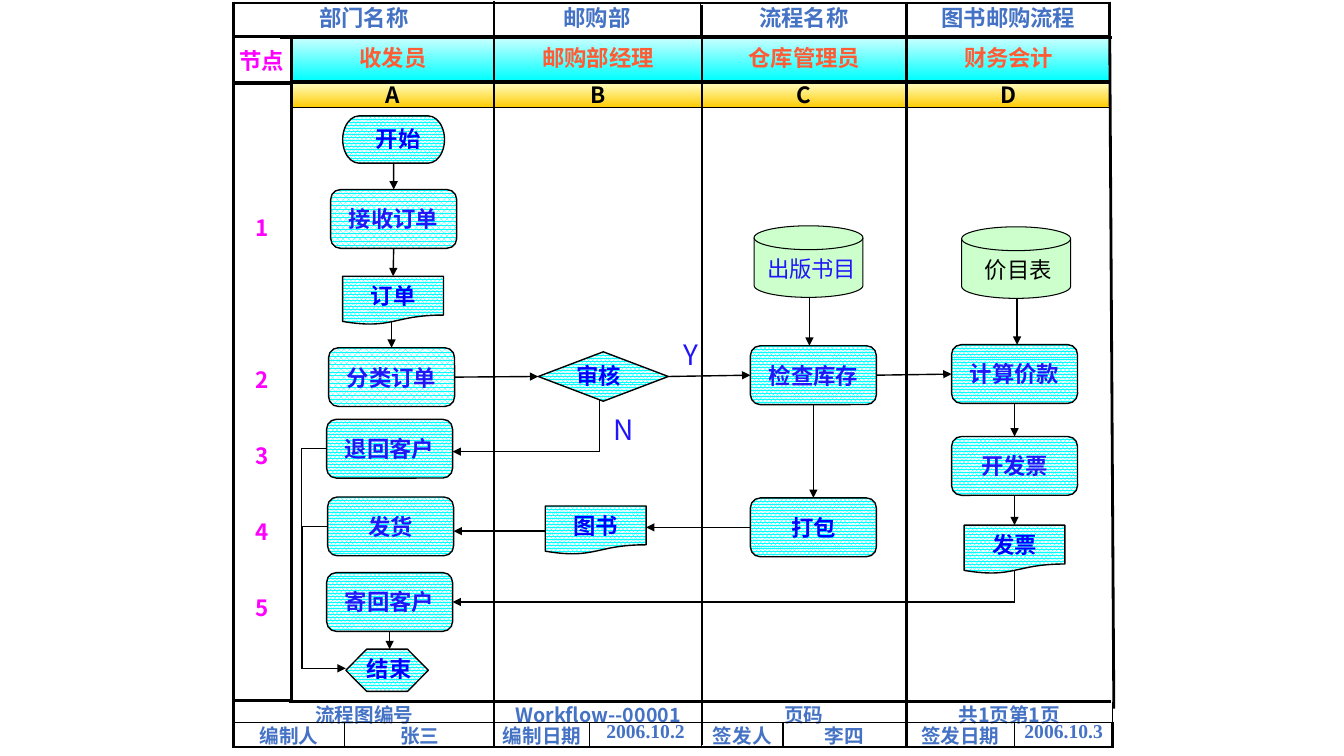
"""Build the swimlane flowchart slide for the book mail-order process."""
import dataclasses
import itertools
import typing
import lxml.etree
import pptx
import pptx.dml.color
import pptx.enum.dml
import pptx.enum.shapes
import pptx.enum.text
import pptx.oxml.ns
import pptx.util

Pt = pptx.util.Pt
Shapes = pptx.enum.shapes.MSO_SHAPE
Anchor = pptx.enum.text.MSO_ANCHOR
Align = pptx.enum.text.PP_ALIGN
Patterns = pptx.enum.dml.MSO_PATTERN_TYPE
qn = pptx.oxml.ns.qn
Point = tuple[float, float]
End = tuple[typing.Any, float]
Box = tuple[float, float, float, float]
CJK, SERIF = "Noto Sans CJK SC", "Times New Roman"
BLACK, BLUE, VIOLET, STEEL = "000000", "0000FF", "2116F8", "4472C4"
MAGENTA, ORANGE, CYAN, WHITE, GREEN = "FF00FF", "FF5B35", "00FFFF", "FFFFFF", "CCFFCC"
PLAIN_TABLE = "{2D5ABB26-0587-4C30-8999-92F81FD0307C}"
NO_MARGINS = {f"margin_{side}": 0 for side in ("left", "top", "right", "bottom")}
LANE_EDGES = [208.5, 353, 501.5, 647.5, 793.5]

@dataclasses.dataclass(frozen=True)
class Style:
    color: str
    size: float = 16
    bold: bool = True
    font: str = CJK
    align: typing.Any = Align.CENTER
    anchor: typing.Any = Anchor.MIDDLE

@dataclasses.dataclass(frozen=True)
class Node:
    name: str
    left: float
    top: float
    color: str = VIOLET
    kind: typing.Any = Shapes.ROUNDED_RECTANGLE
    width: float = 90
    height: float = 42
    pattern: typing.Any = Patterns.PERCENT_80
    label: Point | None = None

@dataclasses.dataclass(frozen=True)
class Flow:
    start: End
    end: End
    arrow: bool = True
    width: float = 1

@dataclasses.dataclass(frozen=True)
class Grid:
    box: Box
    columns: list[float]
    heights: list[float]
    rows: list[list[str]]
    style: Style
    outer: dict[str, float]

NODES = [
    Node("审核", 384.5, 251.3, BLUE, Shapes.FLOWCHART_DECISION, 92.9, 35.3, label=(397.4, 254.9)),
    Node("开始", 244.8, 82.8, BLUE, Shapes.FLOWCHART_TERMINATOR, 72.7, 33.8, label=(254.2, 85.7)),
    Node("结束", 247, 463.7, BLUE, Shapes.HEXAGON, 59, 30.2, label=(247.7, 464.4)),
    Node("接收订单", 236.2, 135.4, pattern=Patterns.PERCENT_75),
    Node("分类订单", 234.7, 248.4, pattern=Patterns.PERCENT_75),
    Node("退回客户", 233.3, 299.5), Node("发货", 234, 355), Node("寄回客户", 233.3, 409),
    Node("检查库存", 536, 247), Node("打包", 536, 355.7, BLUE),
    Node("计算价款", 679.7, 246.2), Node("开发票", 679.7, 311.8),
    *(Node(name, left, top, BLUE, Shapes.FLOWCHART_DOCUMENT, 72, 34.6) for name, left, top in (
        ("订单", 244.8, 197.3), ("图书", 389.5, 361.4), ("发票", 688.7, 375.1))),
]
FLOWS = [
    Flow(("开始", 2), ("接收订单", 0)), Flow(("接收订单", 2), ("订单", 0)),
    Flow((279.7, 230), ("分类订单", 0)), Flow(("分类订单", 3), ("审核", 1)),
    Flow(("审核", 3), ("检查库存", 1)), Flow(("检查库存", 3), ("计算价款", 1)),
    Flow(("计算价款", 2), ("开发票", 0)), Flow(("开发票", 2), ("发票", 0)),
    Flow(("检查库存", 2), ("打包", 0)), Flow(("打包", 1), (461.5, 376.7)),
    Flow((578.2, 212.4), (578.2, 247)), Flow((726.5, 212.4), (726.5, 246.2)),
    Flow((389.5, 379.4), (324, 379.4)), Flow(("寄回客户", 2), (278.3, 463.7)),
    Flow((428.4, 285.1), (428.4, 322.6), arrow=False), Flow((428.4, 322.6), (323.3, 322.6)),
    Flow((724.7, 407), (724.7, 430), arrow=False), Flow((724.7, 430), ("寄回客户", 3)),
    Flow(("退回客户", 1), (215.3, 320.5), arrow=False), Flow(("发货", 1), (216, 376), arrow=False),
    Flow((215.3, 320.5), (215.3, 477.7), arrow=False), Flow((216, 376), (216, 477.4), arrow=False),
    Flow((215.3, 477.4), (247, 477.4), width=0.75),
]
GRID_LINES = [
    ((501.5, 3.6), (501.5, 532)), ((206.6, 501.1), (793.5, 501.1)), ((200.2, 26.6), (794.2, 26.6)),
    ((166.3, 59), (793.5, 59)), ((208.1, 25.2), (208.1, 499.7)), ((352.8, 0.7), (352.8, 532.8)),
    ((647.5, 2.9), (647.5, 534.2)), ((792.7, 26.6), (795.6, 506.2)),
]
TITLE_GRID = Grid((167, 2.2, 625.7, 31.7), [185.8, 147.6, 147.6, 144.7], [31.7],
                  [["部门名称", "邮购部", "流程名称", "图书邮购流程"]],
                  Style(STEEL, anchor=Anchor.TOP), {"L": 2.25, "R": 2.25, "T": 2.25, "B": 0})
FOOTER_GRID = Grid((167, 501.1, 627.8, 32.4), [79.2, 107.3, 67.7, 79.9, 58.3, 87.8, 77.8, 69.8], [15.1, 17.3],
                   [["流程图编号", "", "Workflow--00001", "", "页码", "", "共1页第1页", ""],
                    ["编制人", "张三", "编制日期", "2006.10.2", "签发人", "李四", "签发日期", "2006.10.3"]],
                   Style(STEEL, 14, anchor=Anchor.TOP), {"L": 2.25, "R": 2.25, "T": 0, "B": 2.25})
STEP_GRID = Grid((167, 25.9, 40.3, 474.5), [40.3], [34.6, 440], [["节点"], ["1\n2\n3\n4\n5"]],
                 Style(MAGENTA), {"L": 2.25, "R": 0, "T": 2.25, "B": 2.25})
STEP_GAPS = [0, 87.8, 33.4, 33.4, 33.4]

def color(value: str) -> pptx.dml.color.RGBColor:
    return pptx.dml.color.RGBColor.from_string(value)

def apply(target: typing.Any, values: dict[str, typing.Any]) -> None:
    for name, value in values.items():
        setattr(target, name, value)

def write(frame: typing.Any, text: str, style: Style) -> None:
    frame.text = text
    for paragraph in frame.paragraphs:
        paragraph.alignment = style.align
        for run in paragraph.runs:
            apply(run.font, {"name": style.font, "size": Pt(style.size), "bold": style.bold})
            run.font.color.rgb = color(style.color)
            east_asian = CJK if style.font == SERIF else style.font
            lxml.etree.SubElement(run._r.get_or_add_rPr(), qn("a:ea"), typeface=east_asian)

def write_frame(shape: typing.Any, text: str, style: Style) -> None:
    apply(shape.text_frame, NO_MARGINS | {"word_wrap": False, "vertical_anchor": style.anchor})
    write(shape.text_frame, text, style)

def add_label(slide: typing.Any, text: str, box: Box, style: Style) -> None:
    write_frame(slide.shapes.add_textbox(*map(Pt, box)), text, style)

def add_outlined(slide: typing.Any, kind: typing.Any, box: Box, width: float) -> typing.Any:
    shape = slide.shapes.add_shape(kind, *map(Pt, box))
    shape.shadow.inherit = False
    shape.line.color.rgb = color(BLACK)
    shape.line.width = Pt(width)
    return shape

def add_band(slide: typing.Any, texts: list[str], top: float, height: float, shades: Point, ink: str) -> None:
    for text, (left, right) in zip(texts, itertools.pairwise(LANE_EDGES)):
        band = add_outlined(slide, Shapes.RECTANGLE, (left, top, right - left, height), 0.75)
        band.fill.gradient()
        band.fill.gradient_angle = 270
        for stop, shade, position in zip(band.fill.gradient_stops, shades, (0, 1)):
            stop.color.rgb = color(shade)
            stop.position = position
        write_frame(band, text, Style(ink))

def add_node(slide: typing.Any, node: Node) -> typing.Any:
    shape = add_outlined(slide, node.kind, (node.left, node.top, node.width, node.height), 1)
    if node.kind == Shapes.HEXAGON:
        shape.adjustments[0] = 0.495
    shape.fill.patterned()
    shape.fill.pattern = node.pattern
    shape.fill.fore_color.rgb, shape.fill.back_color.rgb = color(CYAN), color(WHITE)
    if node.label:
        add_label(slide, node.name, (*node.label, 60.5, 26.6), Style(node.color))
    else:
        write_frame(shape, node.name, Style(node.color))
    return shape

def add_line(slide: typing.Any, flow: Flow, shapes: dict[str, typing.Any]) -> None:
    points = [(0, 0) if isinstance(end[0], str) else end for end in (flow.start, flow.end)]
    straight = pptx.enum.shapes.MSO_CONNECTOR.STRAIGHT
    line = slide.shapes.add_connector(straight, *map(Pt, itertools.chain(*points)))
    for connect, (name, site) in ((line.begin_connect, flow.start), (line.end_connect, flow.end)):
        if isinstance(name, str):
            connect(shapes[name], site)
    line.line.color.rgb = color(BLACK)
    line.line.width = Pt(flow.width)
    if flow.arrow:
        lxml.etree.SubElement(line.get_or_add_ln(), qn("a:tailEnd"), type="triangle")
    lxml.etree.SubElement(line._element.spPr, qn("a:effectLst"))

def set_borders(cell: typing.Any, widths: dict[str, float]) -> None:
    for index, (side, width) in enumerate(widths.items()):
        border = lxml.etree.Element(qn(f"a:ln{side}"), w=str(int(Pt(width))))
        cell._tc.get_or_add_tcPr().insert(index, border)
        fill = lxml.etree.SubElement(border, qn("a:solidFill" if width else "a:noFill"))
        if width:
            lxml.etree.SubElement(fill, qn("a:srgbClr"), val=BLACK)

def add_grid(slide: typing.Any, grid: Grid) -> typing.Any:
    rows, columns = len(grid.heights), len(grid.columns)
    table = slide.shapes.add_table(rows, columns, *map(Pt, grid.box)).table
    apply(table, {"first_row": False, "horz_banding": False})
    table._tbl.tblPr.find(qn("a:tableStyleId")).text = PLAIN_TABLE
    for column, width in zip(table.columns, grid.columns):
        column.width = Pt(width)
    for row, height in zip(table.rows, grid.heights):
        row.height = Pt(height)
    for row, column in itertools.product(range(rows), range(columns)):
        cell, text = table.cell(row, column), grid.rows[row][column]
        apply(cell, NO_MARGINS | {"vertical_anchor": grid.style.anchor})
        font = SERIF if text.startswith("2006") else CJK
        write(cell.text_frame, text, dataclasses.replace(grid.style, font=font))
        for paragraph in cell.text_frame.paragraphs:
            paragraph.line_spacing = 0.9
        cell.fill.background()
        at_edge = {"L": column == 0, "R": column == columns - 1, "T": row == 0, "B": row == rows - 1}
        set_borders(cell, {side: grid.outer[side] if edge else 1 for side, edge in at_edge.items()})
        if not text:
            table.cell(row, column - 1).merge(cell)
    return table

def main() -> None:
    presentation = pptx.Presentation()
    apply(presentation, {"slide_width": Pt(960), "slide_height": Pt(540)})
    slide = presentation.slides.add_slide(presentation.slide_layouts[6])
    add_band(slide, list("ABCD"), 58.3, 18.7, ("FFFFCC", "FFCC00"), BLACK)
    shapes = {node.name: add_node(slide, node) for node in NODES}
    for flow in FLOWS:
        add_line(slide, flow, shapes)
    add_grid(slide, TITLE_GRID)
    add_grid(slide, FOOTER_GRID)
    roles = ["收发员", "邮购部经理", "仓库管理员", "财务会计"]
    add_band(slide, roles, 25.2, 32.4, ("D5FFFF", CYAN), ORANGE)
    steps = add_grid(slide, STEP_GRID).cell(1, 0)
    apply(steps, {"vertical_anchor": Anchor.TOP, "margin_top": Pt(92)})
    for paragraph, gap in zip(steps.text_frame.paragraphs, STEP_GAPS):
        paragraph.space_before = Pt(gap)
    for start, end in GRID_LINES:
        add_line(slide, Flow(start, end, arrow=False, width=2), shapes)
    note = Style(VIOLET, bold=False, align=Align.LEFT, anchor=Anchor.TOP)
    arial = dataclasses.replace(note, color=BLACK, font="Arial")
    for text, left, top, indent, style in (
            ("出版书目", 538.6, 161.3, 9.3, note), ("价目表", 686.9, 162, 16.5, arial)):
        disk = add_outlined(slide, Shapes.FLOWCHART_MAGNETIC_DISK, (left, top, 77.8, 51.1), 0.75)
        disk.fill.solid()
        disk.fill.fore_color.rgb = color(GREEN)
        add_label(slide, text, (left + indent, top + 20.9, 66, 19.4), style)
    for text, left, top in (("Y", 488.2, 241.2), ("N", 438.5, 294.5)):
        add_label(slide, text, (left, top, 18, 23.8), dataclasses.replace(note, size=20))
    presentation.save("out.pptx")

if __name__ == "__main__":
    main()
